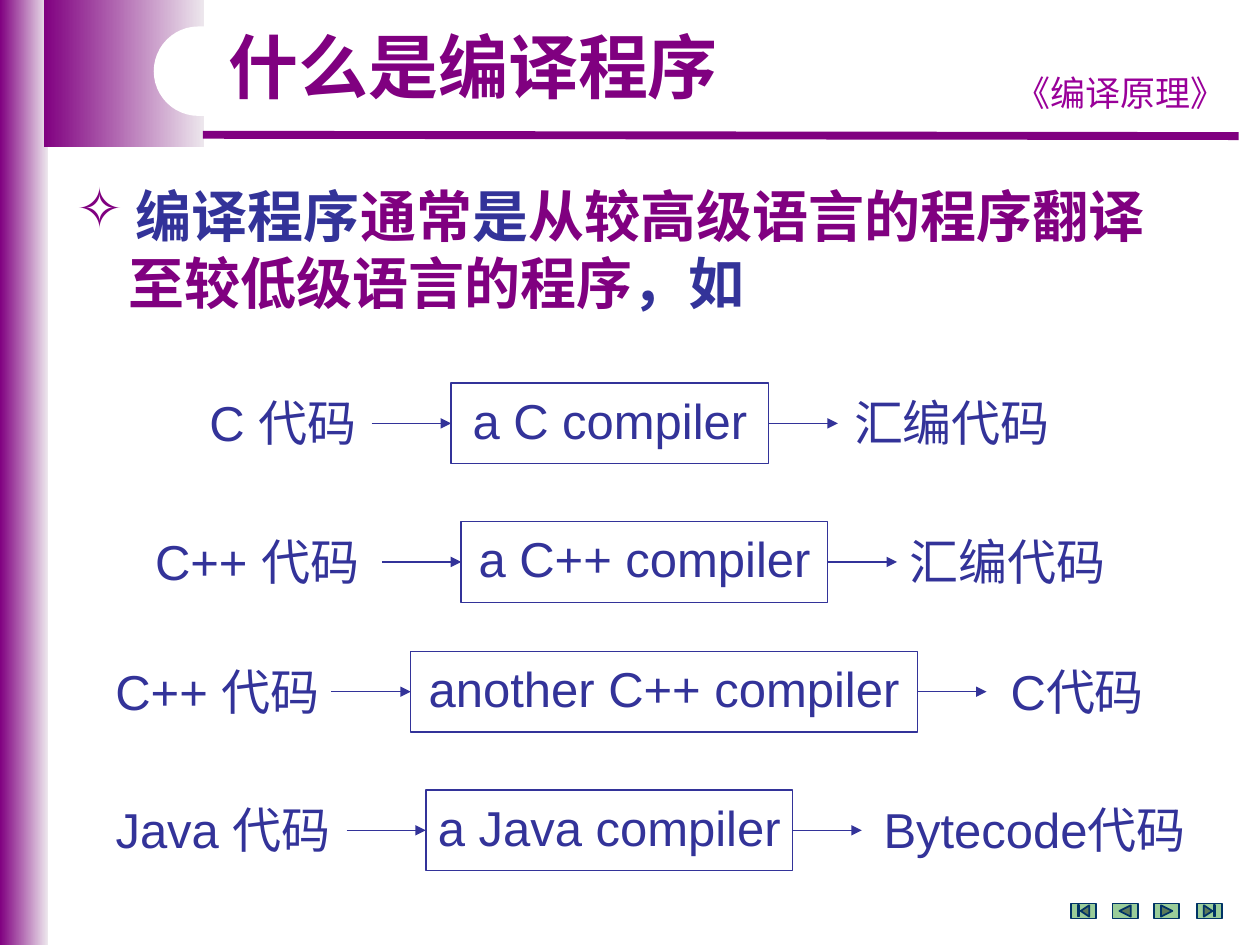
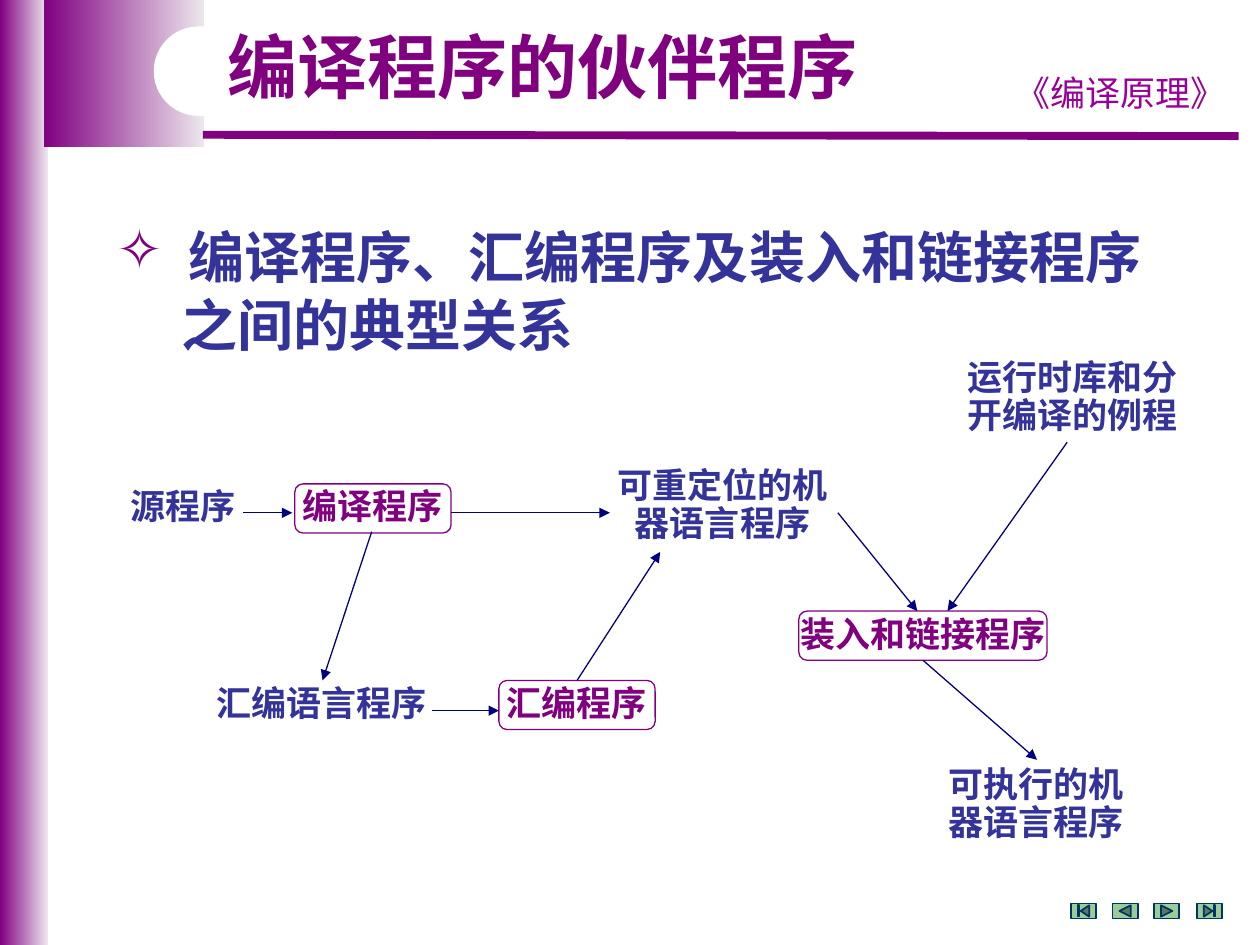
import pptx
import pptx.util
import pptx.dml.color
import pptx.enum.shapes
import pptx.enum.text
import pptx.oxml
import pptx.oxml.ns

RGBColor = pptx.dml.color.RGBColor
MSO_SHAPE = pptx.enum.shapes.MSO_SHAPE
MSO_ANCHOR = pptx.enum.text.MSO_ANCHOR
PP_ALIGN = pptx.enum.text.PP_ALIGN

PURPLE = RGBColor(0x80, 0x00, 0x80)
PALE = RGBColor(0xED, 0xE7, 0xED)
MAGENTA = RGBColor(0x99, 0x00, 0x99)
INDIGO = RGBColor(0x33, 0x33, 0x99)
NAVY = RGBColor(0x00, 0x00, 0x80)
GREEN = RGBColor(0x99, 0xCC, 0x99)
TEAL = RGBColor(0x00, 0x33, 0x66)
WHITE = RGBColor(0xFF, 0xFF, 0xFF)

LATIN, CHINESE = "Arial", "Noto Sans CJK SC"
PX = 9144  # EMU, 100 px to the inch
TOP, LEFT, BOTTOM, RIGHT = range(4)  # connection sites of a rectangle


def px(*lengths):
    return [pptx.util.Emu(length * PX) for length in lengths]


def add_xml(parent, tag, **attributes):
    element = pptx.oxml.parse_xml(f"<a:{tag} {pptx.oxml.ns.nsdecls('a')}/>")
    for name, value in attributes.items():
        element.set(name, value)
    parent.append(element)
    return element


class Deck:
    """Holds the style and the slide being drawn."""

    def __init__(self):
        self.presentation = pptx.Presentation()
        self.presentation.slide_width, self.presentation.slide_height = px(1000, 750)
        self.slide = None

    # Text
    def run(self, paragraph, text, size, color, bold=False, latin=LATIN):
        run = paragraph.add_run()
        run.text = text
        run.font.size = pptx.util.Pt(size)
        run.font.bold = bold
        run.font.color.rgb = color
        run.font.name = latin
        add_xml(run._r.get_or_add_rPr(), "ea", typeface=CHINESE)

    def centred(self, frame, text, size, color, bold=False, spacing=0.9, latin=LATIN):
        paragraph = frame.paragraphs[0]
        paragraph.alignment = PP_ALIGN.CENTER
        paragraph.line_spacing = spacing
        self.run(paragraph, text, size, color, bold, latin)

    def text_box(self, x, y, width, height):
        frame = self.slide.shapes.add_textbox(*px(x, y, width, height)).text_frame
        frame.word_wrap = True
        return frame

    def label(self, x, y, width, height, text, size, color=INDIGO, **style):
        self.centred(self.text_box(x, y, width, height), text, size, color, **style)

    def statement(self, x, y, width, first_indent, second_indent, lines):
        """A bulleted line and its continuation, each a list of (text, colour)."""
        frame = self.text_box(x, y, width, 117)
        for number, (indent, runs) in enumerate(zip((first_indent, second_indent), lines)):
            paragraph = frame.add_paragraph() if number else frame.paragraphs[0]
            properties = paragraph._p.get_or_add_pPr()
            properties.set("marL", str(indent * PX))
            properties.set("indent", str(0 if number else -indent * PX))
            if number:
                add_xml(properties, "buNone")
            else:
                add_xml(add_xml(properties, "buClr"), "srgbClr", val=str(PURPLE))
                add_xml(properties, "buChar", char="✧")
            for text, color in runs:
                self.run(paragraph, text, 32, color, bold=True)

    # Shapes
    def shape(self, kind, x, y, width, height, fill=WHITE, line=None, weight=0.75):
        shape = self.slide.shapes.add_shape(kind, *px(x, y, width, height))
        shape.shadow.inherit = False
        shape.fill.solid()
        shape.fill.fore_color.rgb = fill
        if line is None:
            shape.line.fill.background()
        else:
            shape.line.color.rgb = line
            shape.line.width = pptx.util.Pt(weight)
        return shape

    def band(self, *place):
        band = self.shape(MSO_SHAPE.RECTANGLE, *place)
        band.fill.gradient()
        band.fill.gradient_angle = 0
        for stop, color, position in zip(band.fill.gradient_stops, (PURPLE, PALE), (0, 1)):
            stop.color.rgb = color
            stop.position = position

    def process(self, kind, place, text, size, color, line, bold=False):
        shape = self.shape(kind, *place, line=line)
        shape.text_frame.word_wrap = False
        shape.text_frame.vertical_anchor = MSO_ANCHOR.MIDDLE
        self.centred(shape.text_frame, text, size, color, bold)
        return shape

    def line(self, start, end, color, weight=0.75, arrow=True, begin=None, finish=None):
        """begin and finish are (shape, site) pairs to join."""
        connector = self.slide.shapes.add_connector(
            pptx.enum.shapes.MSO_CONNECTOR.STRAIGHT, *px(*start, *end))
        connector.line.color.rgb = color
        connector.line.width = pptx.util.Pt(weight)
        if arrow:
            add_xml(connector.line._get_or_add_ln(), "tailEnd", type="triangle")
        add_xml(connector._element.spPr, "effectLst")
        if begin:
            connector.begin_connect(*begin)
        if finish:
            connector.end_connect(*finish)

    # Shared slide frame
    def new_slide(self, title, title_width):
        self.slide = self.presentation.slides.add_slide(self.presentation.slide_layouts[6])
        self.band(0, 0, 38, 750)
        self.band(35, 0, 127, 117)
        self.line((161, 107), (983, 108), PURPLE, 4.5, arrow=False)
        self.label(791, 52, 197, 43, "《编译原理》", 20, MAGENTA, spacing=1.0, latin=CHINESE)
        notch = self.shape(MSO_SHAPE.ROUNDED_RECTANGLE, 122, 21, 362, 71)
        notch.adjustments[0] = 0.5
        buttons = (MSO_SHAPE.ACTION_BUTTON_BEGINNING,
                   MSO_SHAPE.ACTION_BUTTON_BACK_OR_PREVIOUS,
                   MSO_SHAPE.ACTION_BUTTON_FORWARD_OR_NEXT,
                   MSO_SHAPE.ACTION_BUTTON_END)
        for number, button in enumerate(buttons):
            self.shape(button, 850 + number * 100 // 3, 717, 20, 12, GREEN, TEAL, 1)
        self.label(165, 21, title_width, 70, title, 40, PURPLE, bold=True)


def what_is_a_compiler(deck):
    deck.new_slide("什么是编译程序", 421)
    deck.statement(51, 139, 890, 47, 41, [
        [("编译程序", INDIGO), ("通常", PURPLE), ("是", INDIGO),
         ("从较高级语言的程序翻译", PURPLE)],
        [("至较低级语言的程序", PURPLE), ("，如", INDIGO)]])

    # Each row: top, then (text, left, width) of source, compiler and target
    rows = [
        (304, ("C 代码", 146, 157), ("a C compiler", 358, 252), ("汇编代码", 665, 181)),
        (414, ("C++ 代码", 98, 212), ("a C++ compiler", 366, 291), ("汇编代码", 705, 189)),
        (517, ("C++ 代码", 74, 197), ("another C++ compiler", 326, 402), ("C代码", 784, 142)),
        (627, ("Java 代码", 71, 212), ("a Java compiler", 338, 291), ("Bytecode代码", 677, 288)),
    ]
    for top, source, (name, left, width), target in rows:
        for text, x, text_width in (source, target):
            deck.label(x, top + 8, text_width, 53, text, 28)
        compiler = deck.process(MSO_SHAPE.RECTANGLE, (left, top, width, 64),
                                name, 28, INDIGO, INDIGO)
        middle, right = top + 32, left + width
        deck.line((left - 63, middle), (left, middle), INDIGO, finish=(compiler, LEFT))
        deck.line((right, middle), (right + 55, middle), INDIGO, begin=(compiler, RIGHT))


def companion_programs(deck):
    deck.new_slide("编译程序的伙伴程序", 531)
    deck.statement(83, 172, 882, 57, 51, [
        [("编译程序、汇编程序及装入和链接程序", INDIGO)],
        [("之间的典型关系", INDIGO)]])

    # Programs
    def program(text, x, y, width):
        return deck.process(MSO_SHAPE.ROUNDED_RECTANGLE, (x, y, width, 39),
                            text, 20, PURPLE, PURPLE, bold=True)

    program("编译程序", 234, 384, 124)
    loader = program("装入和链接程序", 634, 485, 197)
    assembler = program("汇编程序", 396, 540, 124)

    # Inputs and results
    for text, x, y, width, height in [
            ("源程序", 83, 383, 124, 41),
            ("汇编语言程序", 161, 540, 188, 41),
            ("可重定位的机器语言程序", 476, 367, 195, 71),
            ("运行时库和分开编译的例程", 754, 281, 195, 71),
            ("可执行的机器语言程序", 736, 604, 173, 71)]:
        deck.label(x, y, width, height, text, 20, bold=True)

    # Flow
    for start, end in [((193, 407), (232, 407)), ((358, 407), (484, 407)),
                       ((295, 422), (256, 540)), ((343, 564), (396, 564)),
                       ((665, 407), (728, 485)), ((847, 351), (752, 485))]:
        deck.line(start, end, NAVY)
    deck.line((458, 540), (524, 438), NAVY, begin=(assembler, TOP))
    deck.line((733, 524), (823, 603), NAVY, begin=(loader, BOTTOM))


def main():
    deck = Deck()
    what_is_a_compiler(deck)
    companion_programs(deck)
    deck.presentation.save("out.pptx")


if __name__ == "__main__":
    main()
